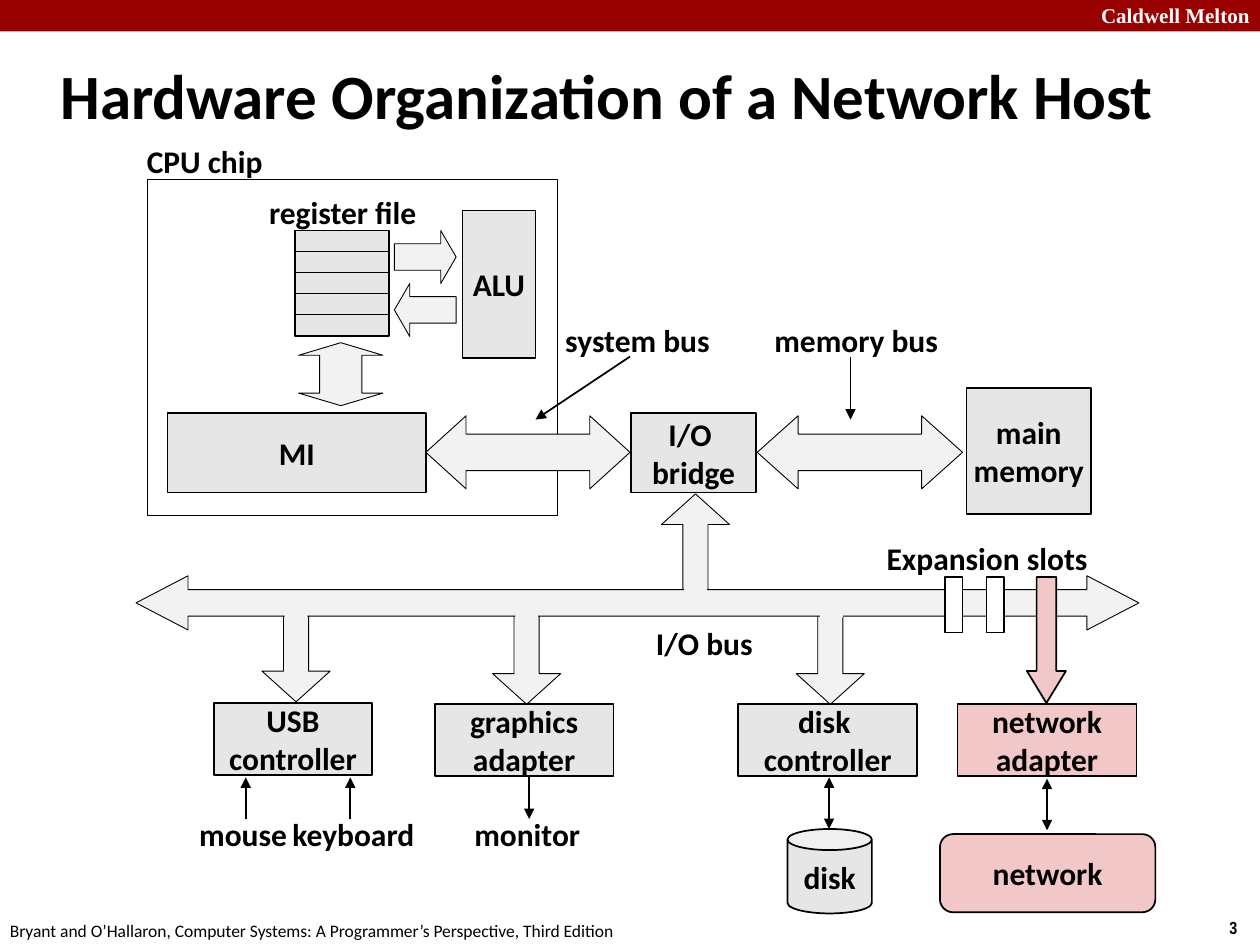
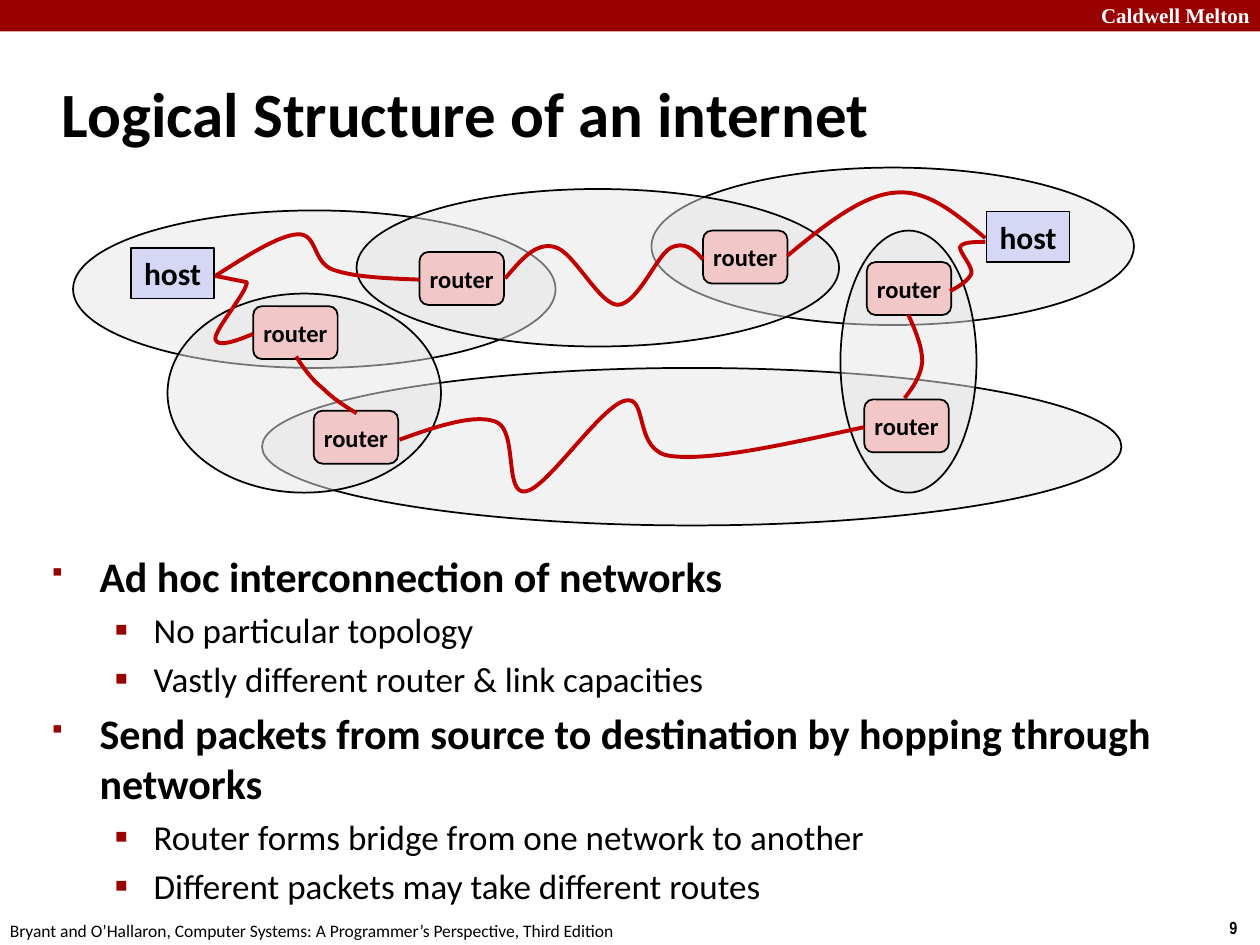
"""Build two slides on network hosts and the logical structure of an internet."""
from dataclasses import dataclass
from typing import Optional

from lxml.etree import SubElement
from pptx import Presentation
from pptx.dml.color import RGBColor
from pptx.enum.shapes import MSO_CONNECTOR, MSO_SHAPE
from pptx.enum.text import MSO_ANCHOR, MSO_AUTO_SIZE, PP_ALIGN
from pptx.oxml.ns import qn
from pptx.shapes.autoshape import Shape
from pptx.slide import Slide
from pptx.text.text import TextFrame
from pptx.util import Inches, Pt

COLORS = {
    "band": "990000",
    "ink": "000000",
    "paper": "FFFFFF",
    "unit": "E6E6E6",
    "bus": "F2F2F2",
    "network": "F1C7C7",
    "host": "D6D6F5",
    "route": "C00000",
}
BODY_FONT = "Calibri"
FOOTER = "Bryant and O’Hallaron, Computer Systems: A Programmer’s Perspective, Third Edition"
Point = tuple[float, float]
Area = tuple[float, float, float, float]


@dataclass
class Node:
    """A filled preset shape, with optional centred text."""
    kind: MSO_SHAPE
    area: Area
    text: str = ""
    fill: Optional[str] = "unit"
    line: float = 1
    adjustments: tuple[float, ...] = ()
    size: float = 18
    opacity: int = 100


@dataclass
class Label:
    """A bold one-line caption."""
    text: str
    left: float
    top: float
    width: float


@dataclass
class Link:
    """A straight line with arrowheads at its start and end."""
    start: Point
    end: Point
    head: bool = False
    tail: bool = True


@dataclass
class Route:
    """A chain of segments: an end alone, or two controls and an end."""
    start: Point
    segments: list[tuple[Point, ...]]


def color(name: str) -> RGBColor:
    return RGBColor.from_string(COLORS[name])


def inches(lengths: tuple[float, ...]) -> list[int]:
    return [Inches(length) for length in lengths]


def style_text(frame: TextFrame, size: float, bold: bool = True, ink: str = "ink",
               name: str = BODY_FONT, align: PP_ALIGN = PP_ALIGN.LEFT) -> None:
    for paragraph in frame.paragraphs:
        paragraph.alignment = align
        paragraph.font.size = Pt(size)
        paragraph.font.bold = bold
        paragraph.font.name = name
        paragraph.font.color.rgb = color(ink)


def place(shape: Shape, area: Area) -> None:
    shape.left, shape.top, shape.width, shape.height = inches(area)


def add_text(page: Slide, text: str, area: Area, size: float, **style) -> Shape:
    box = page.shapes.add_textbox(*inches(area))
    box.text_frame.word_wrap = False
    box.text_frame.text = text
    style_text(box.text_frame, size, **style)
    return box


def add_node(page: Slide, node: Node) -> Shape:
    shape = page.shapes.add_shape(node.kind, *inches(node.area))
    shape.shadow.inherit = False
    for index, value in enumerate(node.adjustments):
        shape.adjustments[index] = value
    if len(node.adjustments) > 1:
        for index, guide in enumerate(shape._element.spPr.iter(qn("a:gd")), 1):
            guide.set("name", f"adj{index}")
    if node.fill:
        shape.fill.solid()
        shape.fill.fore_color.rgb = color(node.fill)
    else:
        shape.fill.background()
    if node.opacity < 100:
        tint = shape._element.spPr.find(qn("a:solidFill"))[0]
        SubElement(tint, qn("a:alpha"), val=str(node.opacity * 1000))
    if node.line:
        shape.line.color.rgb = color("ink")
        shape.line.width = Pt(node.line)
    else:
        shape.line.fill.background()
    if node.text:
        frame = shape.text_frame
        frame.text = node.text
        frame.word_wrap = False
        frame.vertical_anchor = MSO_ANCHOR.MIDDLE
        style_text(frame, node.size, align=PP_ALIGN.CENTER)
    return shape


def add_label(page: Slide, label: Label) -> None:
    box = add_text(page, label.text, (label.left, label.top, label.width, 0.4), 18,
                   align=PP_ALIGN.CENTER)
    box.text_frame.vertical_anchor = MSO_ANCHOR.MIDDLE


def add_link(page: Slide, link: Link) -> None:
    connector = page.shapes.add_connector(
        MSO_CONNECTOR.STRAIGHT, *inches(link.start + link.end))
    connector.line.color.rgb = color("ink")
    connector.line.width = Pt(1)
    properties = connector._element.spPr
    outline = properties.find(qn("a:ln"))
    for tag, shown in (("a:headEnd", link.head), ("a:tailEnd", link.tail)):
        if shown:
            SubElement(outline, qn(tag), type="triangle")
    SubElement(properties, qn("a:effectLst"))


def add_route(page: Slide, route: Route) -> None:
    builder = page.shapes.build_freeform(*inches(route.start))
    builder.add_line_segments([inches(segment[-1]) for segment in route.segments], close=False)
    shape = builder.convert_to_shape()
    strokes = list(shape._element.iter(qn("a:lnTo")))
    for stroke, (*controls, _) in zip(strokes, route.segments):
        if controls:
            stroke.tag = qn("a:cubicBezTo")
            end = stroke[0]
            for x, y in controls:
                SubElement(stroke, qn("a:pt"), x=str(Inches(x) - shape.left),
                           y=str(Inches(y) - shape.top))
            stroke.append(end)
    shape.shadow.inherit = False
    shape.fill.background()
    shape.line.color.rgb = color("route")
    shape.line.width = Pt(2.25)


def share_frame(deck: Presentation, page: Slide) -> None:
    """Move the band, the institution and the footer to the slide master."""
    parts = [
        add_node(page, Node(MSO_SHAPE.RECTANGLE, (0, 0, 10, 0.25), fill="band", line=0)),
        add_text(page, "Caldwell Melton", (8.64, -0.03, 1.43, 0.3), 12,
                 ink="paper", name="Times New Roman"),
        add_text(page, FOOTER, (-0.02, 7.25, 5.08, 0.27), 10, bold=False),
    ]
    for number, part in enumerate(parts, 101):
        part._element.nvSpPr.cNvPr.set("id", str(number))
        deck.slide_master.shapes._spTree.append(part._element)


def add_page(deck: Presentation, layout: int, title: str, area: Area, number: int) -> Slide:
    page = deck.slides.add_slide(deck.slide_layouts[layout])
    add_text(page, str(number), (9.66, 7.23, 0.34, 0.27), 10, name="Arial Narrow")
    heading = page.shapes.title
    place(heading, area)
    frame = heading.text_frame
    frame.text = title
    frame.auto_size = MSO_AUTO_SIZE.NONE
    frame.vertical_anchor = MSO_ANCHOR.MIDDLE
    style_text(frame, 36)
    return page


def fill_body(page: Slide, items: list[tuple[int, str]]) -> None:
    body = page.placeholders[1]
    place(body, (0.31, 4.32, 9.09, 2.3))
    frame = body.text_frame
    frame.auto_size = MSO_AUTO_SIZE.NONE
    frame.text = "\n".join(text for _, text in items)
    for paragraph, (level, _) in zip(frame.paragraphs, items):
        margin, hanging, mark, mark_font, percent, size = (
            (0.38, 0.38, "■", "Wingdings 2", 60, 24),
            (0.81, 0.31, "▪", BODY_FONT, 110, 20))[level]
        paragraph.level = level
        properties = paragraph._p.get_or_add_pPr()
        properties.set("marL", str(Inches(margin)))
        properties.set("indent", str(-Inches(hanging)))
        bullet_color = SubElement(properties, qn("a:buClr"))
        SubElement(bullet_color, qn("a:srgbClr"), val=COLORS["band"])
        SubElement(properties, qn("a:buSzPct"), val=str(percent * 1000))
        SubElement(properties, qn("a:buFont"), typeface=mark_font)
        SubElement(properties, qn("a:buChar"), char=mark)
        paragraph.font.size = Pt(size)
        paragraph.font.bold = level == 0
        paragraph.font.name = BODY_FONT
        paragraph.font.color.rgb = color("ink")


def bus(kind: MSO_SHAPE, area: Area, *adjustments: float) -> Node:
    return Node(kind, area, fill="bus", line=0.5, adjustments=adjustments)


def build_host(deck: Presentation) -> None:
    page = add_page(deck, 5, "Hardware Organization of a Network Host", (0.38, 0.32, 9.53, 0.85), 3)
    share_frame(deck, page)
    box, double = MSO_SHAPE.RECTANGLE, MSO_SHAPE.LEFT_RIGHT_ARROW
    nodes = [
        Node(box, (1.17, 1.42, 3.25, 2.67), fill=None, line=0.25),
        Node(box, (7.67, 3.08, 0.99, 1), "main\nmemory"),
        bus(double, (6.01, 3.3, 1.63, 0.58), 0.5, 0.56),
        Node(box, (5.01, 3.28, 0.99, 0.63), "I/O \nbridge"),
        bus(double, (3.38, 3.3, 1.62, 0.58), 0.5, 0.55),
        Node(box, (1.33, 3.28, 2.05, 0.63), "MI"),
        *(Node(box, (2.34, 1.83 + row / 6, 0.75, 0.17)) for row in range(5)),
        bus(MSO_SHAPE.RIGHT_ARROW, (3.13, 1.83, 0.49, 0.42), 0.5, 0.29),
        bus(MSO_SHAPE.LEFT_ARROW, (3.13, 2.25, 0.49, 0.42), 0.5, 0.29),
        Node(box, (3.67, 1.67, 0.58, 1.17), "ALU"),
        bus(MSO_SHAPE.UP_DOWN_ARROW, (2.37, 2.72, 0.67, 0.5), 0.5, 0.2),
        bus(MSO_SHAPE.UP_ARROW, (5.25, 3.92, 0.54, 0.83), 0.37, 0.45),
        *(bus(MSO_SHAPE.DOWN_ARROW, (left, top, 0.54, 0.78), 0.37, 0.45)
          for left, top in ((2.08, 4.79), (3.91, 4.81), (6.32, 4.81))),
        Node(box, (1.7, 5.58, 1.25, 0.57), "USB\ncontroller"),
        Node(box, (3.45, 5.59, 1.42, 0.57), "graphics\nadapter"),
        Node(box, (5.86, 5.59, 1.42, 0.57), "disk \ncontroller"),
        Node(MSO_SHAPE.CAN, (6.25, 6.58, 0.67, 0.67), "disk", adjustments=(0.25,)),
        bus(double, (1.08, 4.57, 7.96, 0.43), 0.49, 0.96),
        *(Node(box, (left, top, 0.18, 0.17), fill="bus", line=0)
          for left, top in ((2.26, 4.76), (4.09, 4.74), (6.51, 4.73), (5.43, 4.67))),
        *(Node(box, (left, 4.58, 0.14, 0.44), fill="paper") for left in (7.5, 7.83)),
        Node(MSO_SHAPE.DOWN_ARROW, (8.15, 4.58, 0.31, 1), fill="network", adjustments=(0.5, 0.82)),
        Node(box, (7.6, 5.59, 1.42, 0.57), "network\nadapter", "network"),
        Node(MSO_SHAPE.ROUNDED_RECTANGLE, (7.46, 6.62, 1.71, 0.62), "network", "network"),
    ]
    links = [
        Link((5, 2.83), (4.25, 3.33)), Link((6.75, 2.83), (6.75, 3.33)),
        *(Link((x, 6.17), (x, 6.5), head=True, tail=False) for x in (1.95, 2.78)),
        Link((4.2, 6.17), (4.2, 6.5)),
        *(Link((x, y), (x, y + 0.41), head=True) for x, y in ((6.58, 6.17), (8.31, 6.18))),
    ]
    labels = [
        Label("CPU chip", 1.06, 1.08, 1.13), Label("register file", 2.03, 1.48, 1.38),
        Label("system bus", 4.38, 2.5, 1.36), Label("memory bus", 6.04, 2.5, 1.51),
        Label("Expansion slots", 6.93, 4.23, 1.81), Label("I/O bus", 5.1, 4.9, 0.98),
        Label("mouse", 1.48, 6.42, 0.9), Label("keyboard", 2.22, 6.42, 1.17),
        Label("monitor", 3.66, 6.42, 1.05),
    ]
    for draw, parts in ((add_node, nodes), (add_link, links), (add_label, labels)):
        for part in parts:
            draw(page, part)


def build_internet(deck: Presentation) -> None:
    page = add_page(deck, 1, "Logical Structure of an internet", (0.39, 0.48, 8.3, 0.83), 9)
    fill_body(page, [
        (0, "Ad hoc interconnection of networks"),
        (1, "No particular topology"),
        (1, "Vastly different router & link capacities"),
        (0, "Send packets from source to destination by hopping through networks"),
        (1, "Router forms bridge from one network to another"),
        (1, "Different packets may take different routes"),
    ])
    networks = [(0.58, 1.67, 3.83, 1.25), (2.08, 2.92, 6.82, 1.25), (5.17, 1.33, 3.83, 1.25),
                (2.83, 1.5, 3.83, 1.25), (1.33, 2.33, 2.17, 1.58), (6.67, 1.83, 1.08, 2.08)]
    routers = [(2.01, 2.43), (2.49, 3.26), (3.33, 2), (5.58, 1.83), (6.86, 3.17), (6.88, 2.08)]
    nodes = [
        *(Node(MSO_SHAPE.OVAL, area, opacity=50) for area in networks),
        *(Node(MSO_SHAPE.ROUNDED_RECTANGLE, (*spot, 0.67, 0.42), "router", "network", size=14)
          for spot in routers),
        *(Node(MSO_SHAPE.RECTANGLE, (*spot, 0.66, 0.4), "host", "host")
          for spot in ((7.83, 1.68), (1.04, 1.97))),
    ]
    routes = [
        Route((1.71, 2.19), [((1.96, 2.24),), ((1.96, 2.32), (1.7, 2.62), (1.71, 2.69)),
                             ((1.72, 2.76), (1.87, 2.71), (2.01, 2.65))]),
        Route((1.71, 2.19), [((1.96, 2.03), (2.21, 1.87), (2.36, 1.86)),
                             ((2.52, 1.85), (2.48, 2.08), (2.64, 2.14)),
                             ((2.8, 2.2), (3.07, 2.21), (3.33, 2.22))]),
        Route((2.35, 2.83), [((2.41, 2.92), (2.47, 3.01), (2.56, 3.08)),
                             ((2.64, 3.16), (2.73, 3.22), (2.83, 3.28))]),
        Route((4.01, 2.21), [((4.13, 2.07), (4.25, 1.92), (4.4, 1.96)),
                             ((4.55, 1.99), (4.75, 2.41), (4.9, 2.42)),
                             ((5.06, 2.42), (5.21, 2.03), (5.32, 1.97)),
                             ((5.43, 1.91), (5.51, 1.98), (5.58, 2.06))]),
        Route((6.25, 2.03), [((6.54, 1.79), (6.84, 1.55), (7.1, 1.53)),
                             ((7.36, 1.5), (7.59, 1.7), (7.82, 1.89))]),
        Route((3.17, 3.49), [((3.47, 3.38), (3.78, 3.28), (3.94, 3.35)),
                             ((4.11, 3.42), (4, 3.93), (4.17, 3.9)),
                             ((4.34, 3.88), (4.76, 3.23), (4.96, 3.18)),
                             ((5.15, 3.13), (5.02, 3.59), (5.33, 3.62)),
                             ((5.65, 3.66), (6.26, 3.52), (6.86, 3.39))]),
        Route((7.18, 3.16), [((7.25, 3.07), (7.31, 2.98), (7.32, 2.87)),
                             ((7.32, 2.76), (7.27, 2.63), (7.21, 2.5))]),
        Route((7.54, 2.31), [((7.62, 2.27), (7.69, 2.22), (7.71, 2.17)),
                             ((7.72, 2.11), (7.61, 2), (7.62, 1.96)),
                             ((7.64, 1.92), (7.73, 1.92), (7.82, 1.92))]),
    ]
    for draw, parts in ((add_node, nodes), (add_route, routes)):
        for part in parts:
            draw(page, part)


deck = Presentation()
deck.slide_width, deck.slide_height = Inches(10), Inches(7.5)
build_host(deck)
build_internet(deck)
deck.save("out.pptx")
